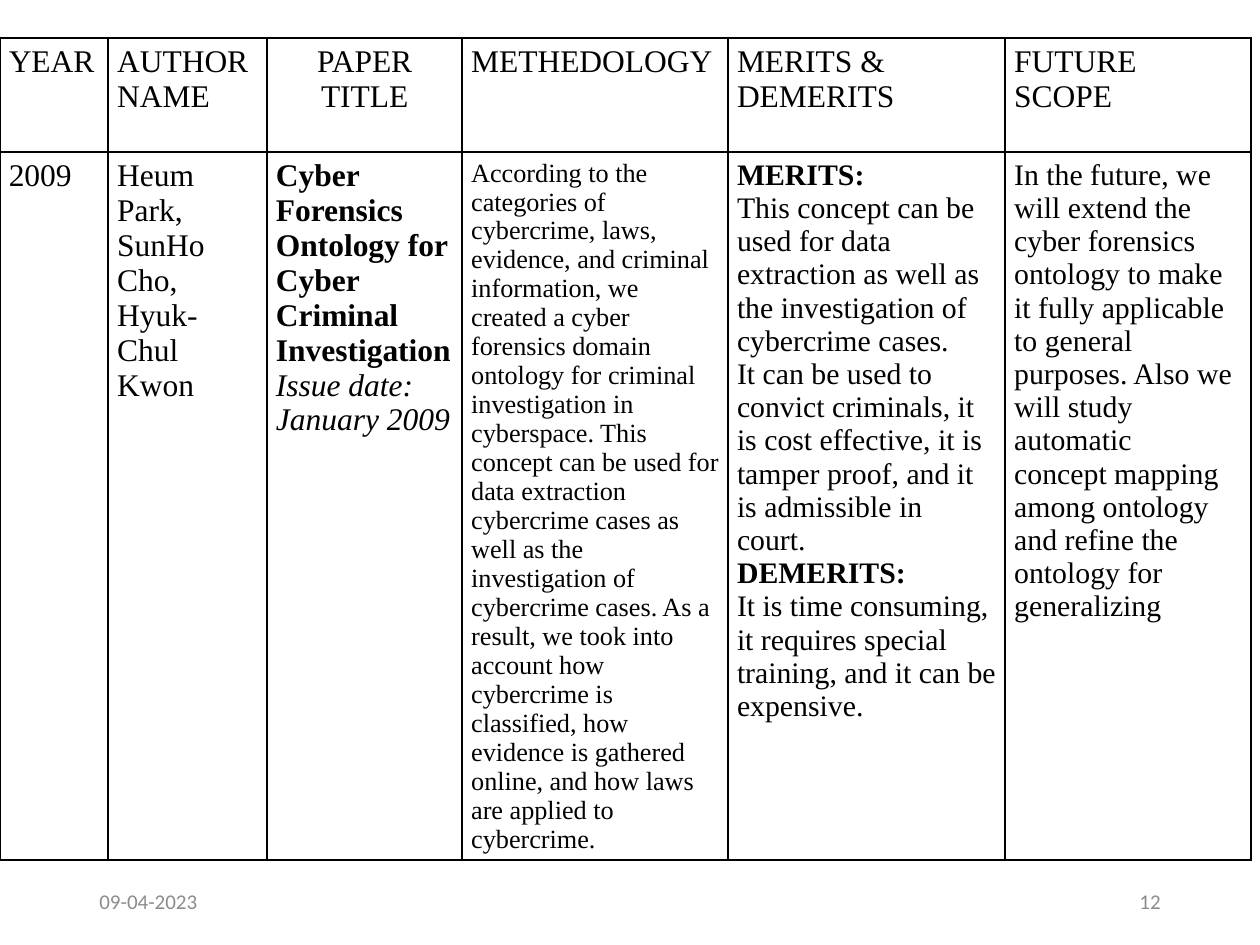
from lxml.etree import SubElement
from pptx import Presentation
from pptx.dml.color import RGBColor
from pptx.enum.text import MSO_ANCHOR, PP_ALIGN
from pptx.oxml.ns import qn
from pptx.util import Inches, Pt


def write_paragraph(paragraph, text, color, **formats):
    paragraph.text = text
    font = paragraph.runs[0].font
    font.color.rgb = RGBColor.from_string(color)
    for name, value in formats.items():
        setattr(font, name, value)


def add_borders(cell, color, width):
    """Draw a solid line on all four sides; must run before the cell is filled."""
    properties = cell._tc.get_or_add_tcPr()
    for side in ("a:lnL", "a:lnR", "a:lnT", "a:lnB"):
        line = SubElement(properties, qn(side), w=str(Pt(width)))
        fill = SubElement(line, qn("a:solidFill"))
        SubElement(fill, qn("a:srgbClr"), val=color)


presentation = Presentation()
presentation.slide_width = Inches(10)
presentation.slide_height = Inches(7.5)
slide = presentation.slides.add_slide(presentation.slide_layouts[6])

# Literature survey table: each cell is a list of (text, extra formats)
headings = ["YEAR", "AUTHOR NAME", "PAPER TITLE", "METHEDOLOGY",
            "MERITS & DEMERITS", "FUTURE SCOPE"]
header_row = [[(heading, {})] for heading in headings]
paper_row = [
    [("2009", {})],
    [("Heum Park,", {}), ("SunHo Cho,", {}), ("Hyuk-Chul Kwon", {})],
    [("Cyber Forensics Ontology for Cyber Criminal Investigation", {"bold": True}),
     ("Issue date: January 2009", {"italic": True})],
    [("According to the categories of cybercrime, laws, evidence, and criminal "
      "information, we created a cyber forensics domain ontology for criminal "
      "investigation in cyberspace. This concept can be used for data extraction "
      "cybercrime cases as well as the investigation of cybercrime cases. As a "
      "result, we took into account how cybercrime is classified, how evidence is "
      "gathered online, and how laws are applied to cybercrime.", {})],
    [("MERITS:", {"bold": True}),
     ("This concept can be used for data extraction as well as the investigation "
      "of cybercrime cases.", {}),
     ("It can be used to convict criminals, it is cost effective, it is tamper "
      "proof, and it is admissible in court.", {}),
     ("DEMERITS:", {"bold": True}),
     ("It is time consuming,", {}),
     ("it requires special training, and it can be expensive.", {})],
    [("In the future, we will extend the cyber forensics", {}),
     ("ontology to make it fully applicable to general purposes. Also we will "
      "study automatic", {}),
     ("concept mapping among ontology and refine the ontology for generalizing", {})],
]
rows = [header_row, paper_row]
row_sizes = [[18] * 6, [18, 18, 18, 15, 17, 17]]
column_widths = [0.86, 1.26, 1.55, 2.11, 2.2, 1.95]
row_heights = [0.91, 5.43]

table = slide.shapes.add_table(
    len(rows), len(column_widths), Inches(0), Inches(0.3),
    Inches(sum(column_widths)), Inches(sum(row_heights))).table
table.first_row = False
table.horz_banding = False
for column, width in zip(table.columns, column_widths):
    column.width = Inches(width)
for row, height in zip(table.rows, row_heights):
    row.height = Inches(height)

cell_margins = {
    "margin_left": Inches(0.07), "margin_right": Inches(0.07),
    "margin_top": Inches(0.05), "margin_bottom": Inches(0.05),
}
for row_index, (row, sizes) in enumerate(zip(rows, row_sizes)):
    for column_index, (content, size) in enumerate(zip(row, sizes)):
        cell = table.cell(row_index, column_index)
        for name, value in cell_margins.items():
            setattr(cell, name, value)
        add_borders(cell, "000000", 1.25)
        cell.fill.background()
        for index, (text, formats) in enumerate(content):
            text_frame = cell.text_frame
            paragraph = text_frame.add_paragraph() if index else text_frame.paragraphs[0]
            write_paragraph(paragraph, text, "000000", name="Times New Roman",
                            size=Pt(size), **formats)
table.cell(0, 2).text_frame.paragraphs[0].alignment = PP_ALIGN.CENTER

# Footer: date and slide number
for text, left, alignment in [("09-04-2023", 0.69, PP_ALIGN.LEFT),
                              ("12", 7.06, PP_ALIGN.RIGHT)]:
    footer = slide.shapes.add_textbox(
        Inches(left), Inches(6.95), Inches(2.25), Inches(0.4))
    footer.text_frame.word_wrap = True
    footer.text_frame.vertical_anchor = MSO_ANCHOR.MIDDLE
    paragraph = footer.text_frame.paragraphs[0]
    paragraph.alignment = alignment
    write_paragraph(paragraph, text, "8C8C8C", name="Calibri", size=Pt(12))

presentation.save("out.pptx")
